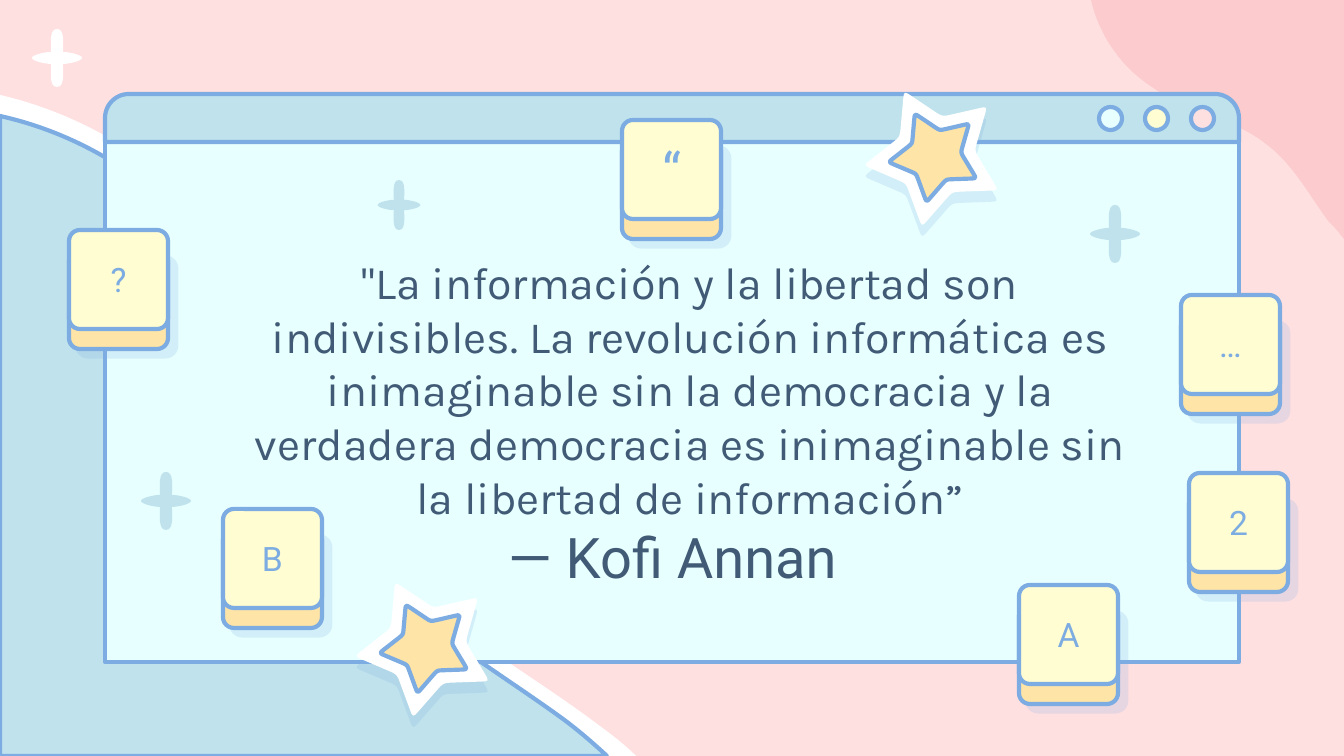
from math import cos, radians, sin

from lxml.etree import Element, SubElement
from pptx import Presentation
from pptx.dml.color import RGBColor
from pptx.enum.shapes import MSO_SHAPE
from pptx.enum.text import MSO_ANCHOR, MSO_AUTO_SIZE, PP_ALIGN
from pptx.oxml.ns import qn
from pptx.util import Pt

SCALE = 9144000 / 1344
BLUE, SKY, ICE = "7CACE1", "BFE2EC", "E7FFFF"
CREAM, GOLD, PINK = "FFFDD1", "FEE4A7", "FFE0E1"
ROSE, WHITE, INK = "FCCBCD", "FFFFFF", "415A75"


def px(n):
    return round(n * SCALE)


def color(value):
    return RGBColor.from_string(value)


def paint(sp, fill, line=None):
    sp.fill.solid()
    sp.fill.fore_color.rgb = color(fill)
    if line:
        sp.line.color.rgb = color(line)
        sp.line.width = Pt(2.25)
    else:
        sp.line.fill.background()
    sp.shadow.inherit = False
    return sp


def add_shadow(sp, alpha, angle):
    effects = sp.element.spPr.find(qn("a:effectLst"))
    shadow = SubElement(effects, qn("a:outerShdw"), blurRad="0", dist=str(Pt(6)),
                        dir=str(angle * 60000), algn="bl", rotWithShape="0")
    clr = SubElement(shadow, qn("a:srgbClr"), val=BLUE)
    SubElement(clr, qn("a:alpha"), val=str(alpha * 1000))


def add_box(s, kind, x, y, w, h, fill, line=BLUE, adj=()):
    sp = s.shapes.add_shape(kind, px(x), px(y), px(w), px(h))
    for i, value in enumerate(adj):
        sp.adjustments[i] = value
    return paint(sp, fill, line)


def curves(pts):
    return [pts[i:i + 3] for i in range(1, len(pts), 3)]


def add_outline(s, start, segments, fill, line=None):
    fb = s.shapes.build_freeform(px(start[0]), px(start[1]))
    fb.add_line_segments([(px(seg[-1][0]), px(seg[-1][1])) for seg in segments], close=True)
    sp = fb.convert_to_shape()
    for ln, seg in zip(list(sp.element.iter(qn("a:lnTo"))), segments):
        if len(seg) == 3:
            bez = Element(qn("a:cubicBezTo"))
            for x, y in seg:
                SubElement(bez, qn("a:pt"), x=str(px(x) - sp.left), y=str(px(y) - sp.top))
            ln.getparent().replace(ln, bez)
    return paint(sp, fill, line)


def add_backdrop(s, w, h):
    border = [(0, 95), (94, 117), (180, 173), (233, 253), (294, 347), (312, 465), (382, 552),
              (435, 622), (517, 665), (589, 718), (605, 730), (621, 741), (636, h)]
    wave = [(0, 116), (90, 136), (172, 191), (223, 267), (282, 359), (298, 473), (364, 559),
            (417, 626), (493, 668), (563, 719), (578, 730), (593, 743), (607, h)]
    blob = [(1091, 0), (1099, 35), (1121, 67), (1152, 87), (1187, 112), (1232, 117), (1266, 144),
            (1293, 164), (1309, 195), (1329, 222), (1335, 227), (1339, 233), (w, 239)]
    for pts, corner, fill, line in ((border, (0, h), WHITE, None), (wave, (0, h), SKY, BLUE),
                                    (blob, (w, 0), ROSE, None)):
        add_outline(s, pts[0], curves(pts) + [[corner]], fill, line)


def add_sparkle(s, cx, cy, fill, size=1):
    arm = [(0, -29), (8, -29), (6, -14), (6, -6), (12, -6), (25, -3), (25, 0)]
    right = arm + [(x, -y) for x, y in arm[-2::-1]]
    loop = right + [(-x, y) for x, y in right[-2::-1]]
    pts = [(cx + x * size, cy + y * size) for x, y in loop]
    add_outline(s, pts[0], curves(pts), fill)


def add_star_outline(s, cx, cy, outer, inner, fill, line=None):
    corners = []
    for i in range(10):
        a = radians(36 * i - 115.5)
        r = inner if i % 2 else outer
        corners.append((cx + r * cos(a), cy + r * sin(a)))
    segments = []
    for i, v in enumerate(corners):
        start, end = [tuple(p + 0.2 * (q - p) for p, q in zip(v, other))
                      for other in (corners[i - 1], corners[(i + 1) % 10])]
        segments += [[start], [v, v, end]]
    return add_outline(s, segments[-1][-1], segments, fill, line)


def add_star(s, cx, cy):
    add_shadow(add_star_outline(s, cx, cy, 72, 40, WHITE), 19, 90)
    add_star_outline(s, cx, cy, 47, 26, GOLD, BLUE)


def add_window(s, x, y, w, h):
    bar = 48
    add_box(s, MSO_SHAPE.RECTANGLE, x, y + bar, w, h - bar, ICE)
    add_box(s, MSO_SHAPE.ROUND_2_SAME_RECTANGLE, x, y, w, bar, SKY, adj=(0.5, 0))
    for i, fill in enumerate((ICE, CREAM, PINK)):
        add_box(s, MSO_SHAPE.OVAL, x + w - 140 + 46 * i, y + 13, 23, 23, fill)


def write(tf, text, size, font, fill, anchor):
    tf.word_wrap = True
    tf.auto_size = MSO_AUTO_SIZE.NONE
    tf.vertical_anchor = anchor
    tf.margin_left = tf.margin_right = tf.margin_top = tf.margin_bottom = Pt(7.2)
    p = tf.paragraphs[0]
    p.alignment = PP_ALIGN.CENTER
    p.space_before = Pt(0)
    p.line_spacing = 1.0
    r = p.add_run()
    r.text = text
    r.font.size = Pt(size)
    r.font.name = font
    r.font.color.rgb = color(fill)


def add_key(s, x, y, text, size=18):
    side = 99
    base = add_box(s, MSO_SHAPE.ROUNDED_RECTANGLE, x, y + 20, side, side, GOLD, adj=(0.11,))
    add_shadow(base, 18, 42)
    cap = add_box(s, MSO_SHAPE.ROUNDED_RECTANGLE, x, y, side, side, CREAM, adj=(0.11,))
    write(cap.text_frame, text, size, "Roboto", BLUE, MSO_ANCHOR.MIDDLE)


def place_text(s, sp, x, y, w, h, *style):
    s.shapes.element.append(sp.element)
    sp.left, sp.top, sp.width, sp.height = px(x), px(y), px(w), px(h)
    write(sp.text_frame, *style)


def add_quote(s, x, y):
    quote = ('"La información y la libertad son indivisibles. La revolución informática es '
             'inimaginable sin la democracia y la verdadera democracia es inimaginable sin '
             'la libertad de información”')
    place_text(s, s.shapes.title, x + 155, y + 267, 589, 95,
               "— Kofi Annan", 30, "Roboto", INK, MSO_ANCHOR.BOTTOM)
    place_text(s, s.placeholders[1], x, y, 934, 190,
               quote, 24, "Karla", INK, MSO_ANCHOR.TOP)


def main():
    prs = Presentation()
    prs.slide_width, prs.slide_height = px(1344), px(756)
    s = prs.slides.add_slide(prs.slide_layouts[0])
    s.background.fill.solid()
    s.background.fill.fore_color.rgb = color(PINK)
    add_backdrop(s, 1344, 756)
    add_sparkle(s, 57, 58, WHITE)
    add_window(s, 105, 94, 1134, 568)
    add_quote(s, 223, 241)
    for x, y, text in ((1019, 585, "A"), (69, 230, "?"), (223, 509, "B"),
                       (1181, 295, "…"), (1189, 473, "2")):
        add_key(s, x, y, text)
    add_star(s, 935, 156)
    add_sparkle(s, 1115, 234, SKY)
    add_sparkle(s, 166, 501, SKY)
    add_key(s, 622, 120, "“", 28)
    add_sparkle(s, 399, 205, SKY, 0.86)
    add_star(s, 426, 647)
    prs.save("out.pptx")


if __name__ == "__main__":
    main()
